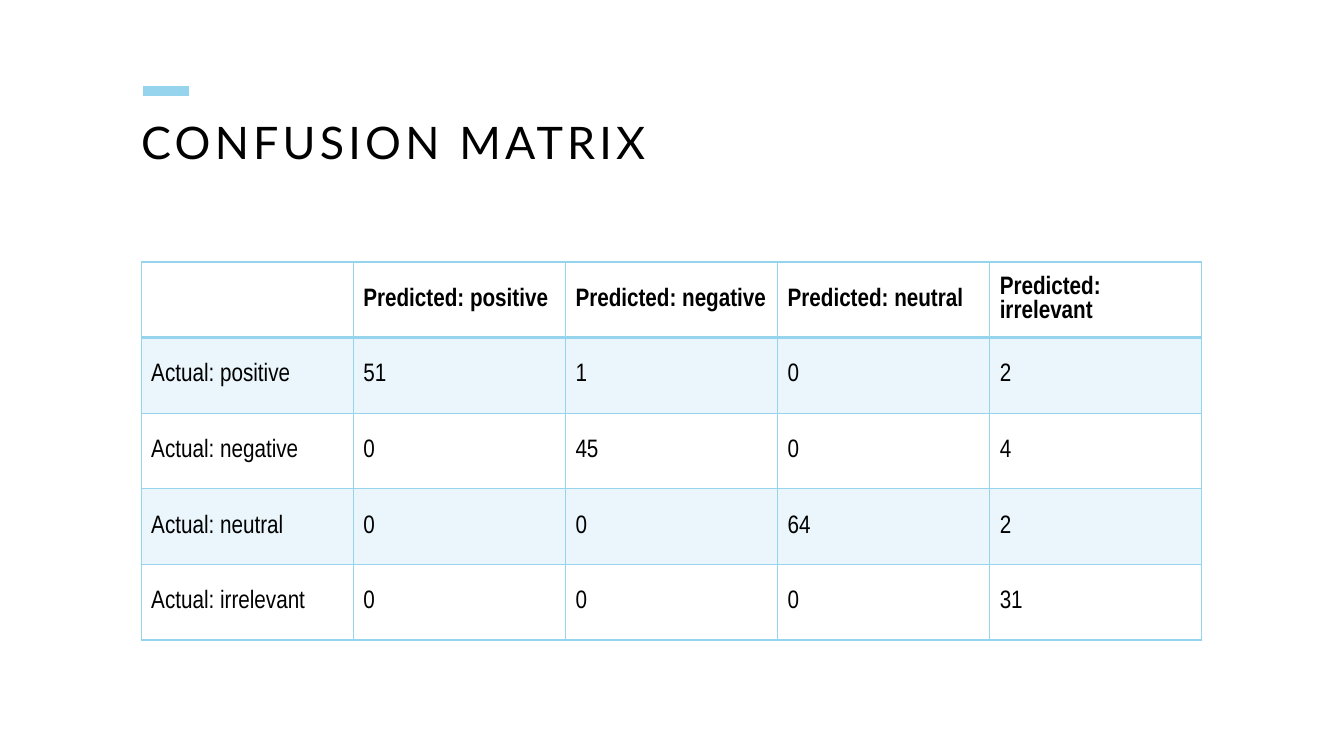
from lxml.etree import SubElement
from pptx import Presentation
from pptx.dml.color import RGBColor
from pptx.enum.shapes import MSO_CONNECTOR
from pptx.enum.text import MSO_ANCHOR, PP_ALIGN
from pptx.oxml.ns import qn
from pptx.util import Inches, Pt

SKY = "96D3ED"
BLACK = "000000"
LEFT = 1.4
COLUMN, ROW = 10.52 / 5, 0.75
MATRIX = [
    ["", "Predicted: positive", "Predicted: negative", "Predicted: neutral", "Predicted: irrelevant"],
    ["Actual: positive", "51", "1", "0", "2"],
    ["Actual: negative", "0", "45", "0", "4"],
    ["Actual: neutral", "0", "0", "64", "2"],
    ["Actual: irrelevant", "0", "0", "0", "31"],
]


def color(hex_string):
    return RGBColor.from_string(hex_string)


def set_font(font, name, size, bold=False):
    font.name, font.size, font.bold = name, Pt(size), bold
    font.color.rgb = color(BLACK)


def add_accent(slide, left, top, length, weight):
    accent = slide.shapes.add_connector(
        MSO_CONNECTOR.STRAIGHT, Inches(left), Inches(top), Inches(left + length), Inches(top))
    accent.line.color.rgb = color(SKY)
    accent.line.width = Pt(weight)
    SubElement(accent._element.spPr, qn("a:effectLst"))


def set_title(slide, wording):
    title = slide.shapes.title
    title.left, title.top, title.width, title.height = map(Inches, (LEFT, 1.2, 10.5, 1))
    frame = title.text_frame
    frame.text = wording
    frame.word_wrap = True
    frame.vertical_anchor = MSO_ANCHOR.TOP
    frame.margin_left = frame.margin_top = frame.margin_right = frame.margin_bottom = 0
    heading = frame.paragraphs[0]
    heading.alignment = PP_ALIGN.LEFT
    heading.line_spacing = 0.9
    set_font(heading.font, "Lato", 32)
    heading.runs[0].font._element.set("spc", "300")


def set_borders(cell, bottom_weight):
    properties = cell._tc.get_or_add_tcPr()
    for side, weight in (("L", 1), ("R", 1), ("T", 1), ("B", bottom_weight)):
        border = SubElement(properties, qn(f"a:ln{side}"), w=str(Pt(weight)))
        SubElement(SubElement(border, qn("a:solidFill")), qn("a:srgbClr"), val=SKY)


def set_fill(cell, shaded):
    """Tint the cell with a mostly transparent sky blue, or leave it clear."""
    if not shaded:
        cell.fill.background()
        return
    cell.fill.solid()
    cell.fill.fore_color.rgb = color(SKY)
    tint = cell._tc.tcPr.find(qn("a:solidFill")).find(qn("a:srgbClr"))
    SubElement(tint, qn("a:alpha"), val="20000")


def add_matrix(slide, top):
    rows, columns = len(MATRIX), len(MATRIX[0])
    table = slide.shapes.add_table(
        rows, columns, Inches(LEFT), Inches(top),
        Inches(columns * COLUMN), Inches(rows * ROW)).table
    table.first_row = table.horz_banding = False
    for row, entries in enumerate(MATRIX):
        header = row == 0
        for column, entry in enumerate(entries):
            cell = table.cell(row, column)
            cell.text = entry
            cell.vertical_anchor = MSO_ANCHOR.MIDDLE
            set_font(cell.text_frame.paragraphs[0].font, "Arial Narrow", 18, bold=header)
            set_borders(cell, bottom_weight=2 if header else 1)
            set_fill(cell, shaded=row % 2 == 1)


def main():
    deck = Presentation()
    deck.slide_width, deck.slide_height = Inches(13.33), Inches(7.5)
    slide = deck.slides.add_slide(deck.slide_layouts[5])
    add_accent(slide, 1.42, 0.9, 0.45, 7)
    set_title(slide, "CONFUSION MATRIX")
    add_matrix(slide, 2.6)
    deck.save("out.pptx")


if __name__ == "__main__":
    main()
